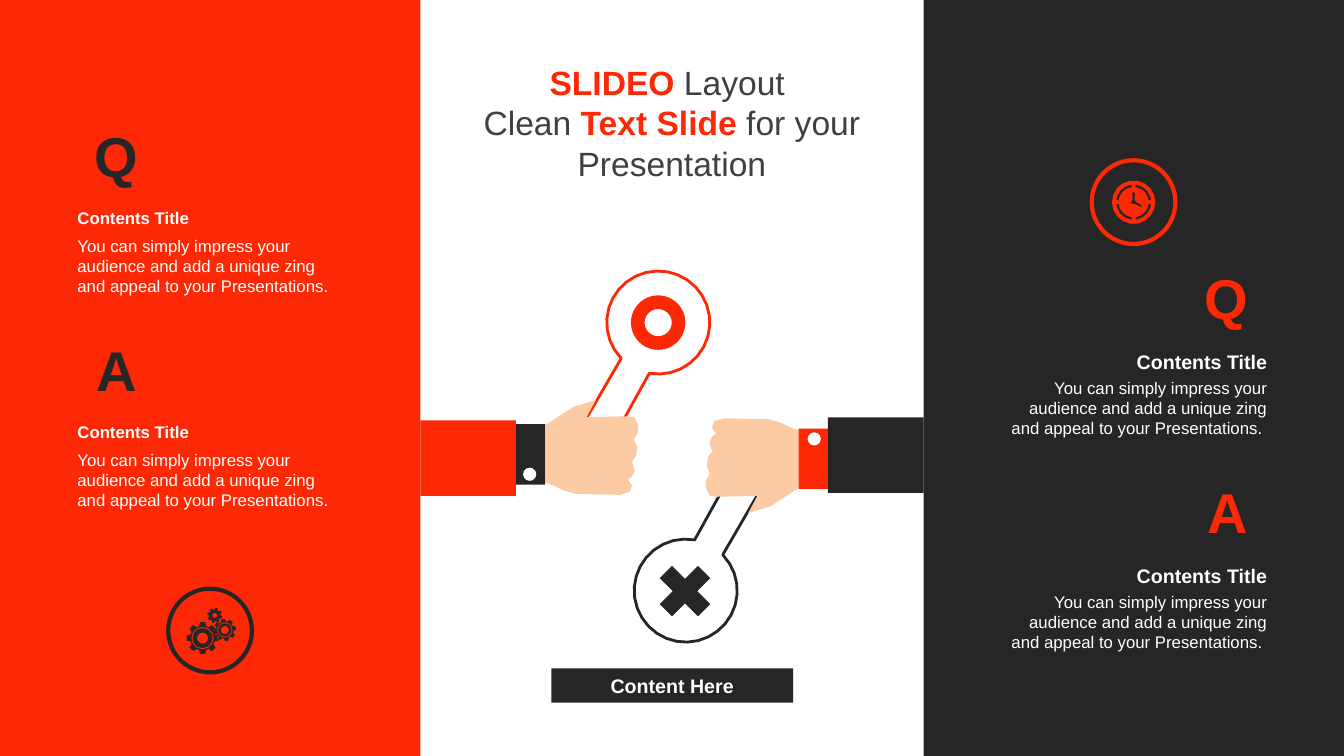
import math
from dataclasses import dataclass

import pptx
import pptx.dml.color
import pptx.enum.shapes
import pptx.enum.text
import pptx.util

Pt = pptx.util.Pt
RGBColor = pptx.dml.color.RGBColor
Shape = pptx.enum.shapes.MSO_SHAPE
Align = pptx.enum.text.PP_ALIGN
Anchor = pptx.enum.text.MSO_ANCHOR
AutoSize = pptx.enum.text.MSO_AUTO_SIZE
Point = tuple[float, float]
Contour = list[Point]

RED = RGBColor(0xFD, 0x29, 0x06)
DARK = RGBColor(0x26, 0x26, 0x26)
WHITE = RGBColor(0xFF, 0xFF, 0xFF)
GRAY = RGBColor(0x40, 0x40, 0x40)
SKIN = RGBColor(0xFD, 0xCB, 0xA3)
SLIDE_WIDTH, SLIDE_HEIGHT = 960, 540
TURN_HEIGHT = 652.3  # twice the height of the point the second arm is turned about
CURVE_STEPS = 3
BODY = "You can simply impress your audience and add a unique zing and appeal to your Presentations."
HAND_START = (448.6, 342.7)
HAND_SEGMENTS = [  # one point: straight line; three points: Bezier curve
    [(450.7, 340.6), (456.5, 337.7), (451.4, 329.8)],
    [(455, 327.6), (457.2, 318.2), (452.9, 313.9)],
    [(456.5, 309.6), (457.9, 303.8), (452.9, 298.1)],
    [(447.8, 297.4)],
    [(419, 298.1)],
    [(425.5, 285.8)],
    [(406.1, 288.7), (400.3, 298.1), (389.5, 303.8)],
    [(389.5, 344.9)],
    [(393.8, 344.9), (401, 351.4), (411.1, 352.8)],
    [(442.8, 353.5)],
    [(453.6, 353.5), (452.9, 345.6), (448.6, 342.7)],
]


@dataclass
class Arm:
    color: RGBColor
    cuff_color: RGBColor
    turned: bool


@dataclass
class Column:
    letter_left: float
    letter_top: float
    text_left: float
    color: RGBColor
    letter_align: Align
    text_align: Align
    heading_size: float
    heading_height: float
    body: str


@dataclass
class Gear:
    center: Point
    tip: float
    root: float
    circles: tuple[float, ...]
    tilt: float


ARMS = [Arm(RED, DARK, False), Arm(DARK, RED, True)]
COLUMNS = [
    Column(59.8, 82.8, 46.8, DARK, Align.CENTER, Align.LEFT, 12, 21.6, BODY),
    Column(851.8, 184.3, 706.3, RED, Align.RIGHT, Align.RIGHT, 14, 24.5, BODY + " "),
]
GEARS = [
    Gear((144.7, 455.8), 11.5, 8.9, (8, 7.2, 4), 0),
    Gear((160.6, 450), 8, 6.2, (5.5, 4.8, 2.9), -10),
    Gear((153.4, 439.6), 5.4, 4, (1.8,), 14),
]


def polar(center: Point, radius: float, angle: float) -> Point:
    return center[0] + radius * math.cos(angle), center[1] + radius * math.sin(angle)


def arc(center: Point, radius: float, step: int, start: int = 0, end: int = 360) -> Contour:
    return [polar(center, radius, math.radians(angle)) for angle in range(start, end, step)]


def hand_outline() -> Contour:
    points = [HAND_START]
    for segment in HAND_SEGMENTS:
        if len(segment) == 1:
            points += segment
            continue
        controls = [points[-1], *segment]
        for step in range(1, CURVE_STEPS + 1):
            t = step / CURVE_STEPS
            weights = [math.comb(3, i) * t**i * (1 - t) ** (3 - i) for i in range(4)]
            points.append(tuple(sum(w * c[axis] for w, c in zip(weights, controls)) for axis in (0, 1)))
    return points


def sign_outline() -> Contour:
    return arc((470.2, 230.4), 36.8, 12, 136, 461) + [(435.6, 317.5), (414.7, 306)]


def gear_contours(gear: Gear) -> list[Contour]:
    corners = [(gear.root, -0.28), (gear.tip, -0.17), (gear.tip, 0.17), (gear.root, 0.28)]
    teeth = [polar(gear.center, radius, math.radians(gear.tilt + 45 * tooth) + offset)
             for tooth in range(8) for radius, offset in corners]
    return [teeth] + [arc(gear.center, radius, 30) for radius in gear.circles]


def clock_contours() -> list[Contour]:
    center = (809.8, 144.4)
    ticks = [[polar(center, radius, quarter * math.pi / 2 + offset)
              for radius, offset in [(10.8, -0.12), (12.6, -0.12), (12.6, 0.12), (10.8, 0.12)]]
             for quarter in range(4)]
    hands = [(-1.1, -6.2), (0, -7.6), (1, -6.2), (0.6, -1.9), (1.8, 0), (5.2, 1.8),
             (6.1, 3.2), (4.5, 3.1), (1.1, 1.4), (-1.3, 1.3), (-1.8, 0), (-0.7, -1.9)]
    rings = [arc(center, radius, 20) for radius in (15.5, 12.6, 10.8)]
    return rings + ticks + [[(center[0] + x, center[1] + y) for x, y in hands]]


def paint(shape, fill: RGBColor | None, line: RGBColor | None = None, width: float = 0) -> None:
    shape.shadow.inherit = False
    if fill is None:
        shape.fill.background()
    else:
        shape.fill.solid()
        shape.fill.fore_color.rgb = fill
    if line is None:
        shape.line.fill.background()
    else:
        shape.line.color.rgb = line
        shape.line.width = Pt(width)


def add_preset(slide, kind: Shape, box: tuple, fill: RGBColor | None, line: RGBColor | None = None):
    shape = slide.shapes.add_shape(kind, *map(Pt, box))
    paint(shape, fill, line, 3)
    return shape


def add_outline(slide, contours: list[Contour], fill: RGBColor, line: RGBColor | None = None) -> None:
    scaled = [[(Pt(x), Pt(y)) for x, y in contour] for contour in contours]
    builder = slide.shapes.build_freeform(*scaled[0][0])
    for index, contour in enumerate(scaled):
        if index:
            builder.move_to(*contour[0])
        builder.add_line_segments(contour[1:], close=True)
    paint(builder.convert_to_shape(), fill, line, 2)


def add_run(paragraph, text: str, color: RGBColor, size: float, bold: bool) -> None:
    run = paragraph.add_run()
    run.text = text
    for name, value in {"name": "Arial", "size": Pt(size), "bold": bold}.items():
        setattr(run.font, name, value)
    run.font.color.rgb = color


def write(shape, lines: list[list[tuple]], align: Align, anchor: Anchor, margin: float = 7.2) -> None:
    """Fill a shape with paragraphs, each a list of (text, color, size, bold) runs."""
    frame = shape.text_frame
    values = {"word_wrap": True, "auto_size": AutoSize.SHAPE_TO_FIT_TEXT, "vertical_anchor": anchor,
              "margin_left": Pt(margin), "margin_right": Pt(margin),
              "margin_top": Pt(3.6), "margin_bottom": Pt(3.6)}
    for name, value in values.items():
        setattr(frame, name, value)
    for index, line in enumerate(lines):
        paragraph = frame.add_paragraph() if index else frame.paragraphs[0]
        paragraph.alignment = align
        for run in line:
            add_run(paragraph, *run)


def add_arm(slide, arm: Arm) -> None:
    def turn_points(points: Contour) -> Contour:
        return [(SLIDE_WIDTH - x, TURN_HEIGHT - y) for x, y in points] if arm.turned else points

    def turn_box(left: float, top: float, width: float, height: float) -> tuple:
        if arm.turned:
            left, top = SLIDE_WIDTH - left - width, TURN_HEIGHT - top - height
        return left, top, width, height

    add_outline(slide, [turn_points(sign_outline())], WHITE, arm.color)
    add_outline(slide, [turn_points(hand_outline())], SKIN)
    add_preset(slide, Shape.RECTANGLE, turn_box(300.2, 300.2, 68.4, 54), arm.color)
    add_preset(slide, Shape.RECTANGLE, turn_box(368.6, 303, 20.9, 43.2), arm.cuff_color)
    add_preset(slide, Shape.OVAL, turn_box(373.7, 334.1, 9.4, 9.4), WHITE)


def add_column(slide, column: Column) -> None:
    def add_text(box: tuple, run: tuple, align: Align, anchor: Anchor, margin: float) -> None:
        write(slide.shapes.add_textbox(*map(Pt, box)), [[run]], align, anchor, margin)

    for index, letter in enumerate("QA"):
        top = column.letter_top + 153 * index
        add_text((column.letter_left, top, 46.8, 55.4), (letter, column.color, 40, True),
                 column.letter_align, Anchor.MIDDLE, 7.2)
        add_text((column.text_left, top + 81.8, 207.4, 51.1), (column.body, WHITE, 12, False),
                 column.text_align, Anchor.TOP, 8.5)
        add_text((column.text_left, top + 61.9, 207.4, column.heading_height),
                 ("Contents Title", WHITE, column.heading_size, True),
                 column.text_align, Anchor.TOP, 8.5)


def main() -> None:
    presentation = pptx.Presentation()
    presentation.slide_width, presentation.slide_height = Pt(SLIDE_WIDTH), Pt(SLIDE_HEIGHT)
    slide = presentation.slides.add_slide(presentation.slide_layouts[5])
    title = slide.shapes.title
    for name, value in {"left": 334.8, "top": 40.3, "width": 290.2, "height": 94.3}.items():
        setattr(title, name, Pt(value))
    write(title, [[("SLIDEO ", RED, 24, True), ("Layout ", GRAY, 24, False)],
                  [("Clean ", GRAY, 24, False), ("Text Slide ", RED, 24, True),
                   ("for your Presentation", GRAY, 24, False)]], Align.CENTER, Anchor.MIDDLE)

    add_preset(slide, Shape.RECTANGLE, (659.7, 0, 300.3, SLIDE_HEIGHT), DARK)
    add_preset(slide, Shape.RECTANGLE, (0, 0, 300.3, SLIDE_HEIGHT), RED)
    for arm in ARMS:
        add_arm(slide, arm)
    add_preset(slide, Shape.MATH_MULTIPLY, (463, 396, 52.6, 52.6), DARK)
    add_preset(slide, Shape.DONUT, (450.7, 211, 38.9, 38.9), RED)
    for column in COLUMNS:
        add_column(slide, column)

    add_preset(slide, Shape.OVAL, (779.8, 114.5, 59.8, 59.8), None, RED)
    add_preset(slide, Shape.OVAL, (120.2, 420.5, 59.8, 59.8), None, DARK)
    banner = add_preset(slide, Shape.RECTANGLE, (393.8, 477.4, 172.8, 24.5), DARK)
    write(banner, [[("Content Here", WHITE, 14, True)]], Align.CENTER, Anchor.MIDDLE)
    add_outline(slide, [contour for gear in GEARS for contour in gear_contours(gear)], DARK)
    add_outline(slide, clock_contours(), RED)
    presentation.save("out.pptx")


if __name__ == "__main__":
    main()
